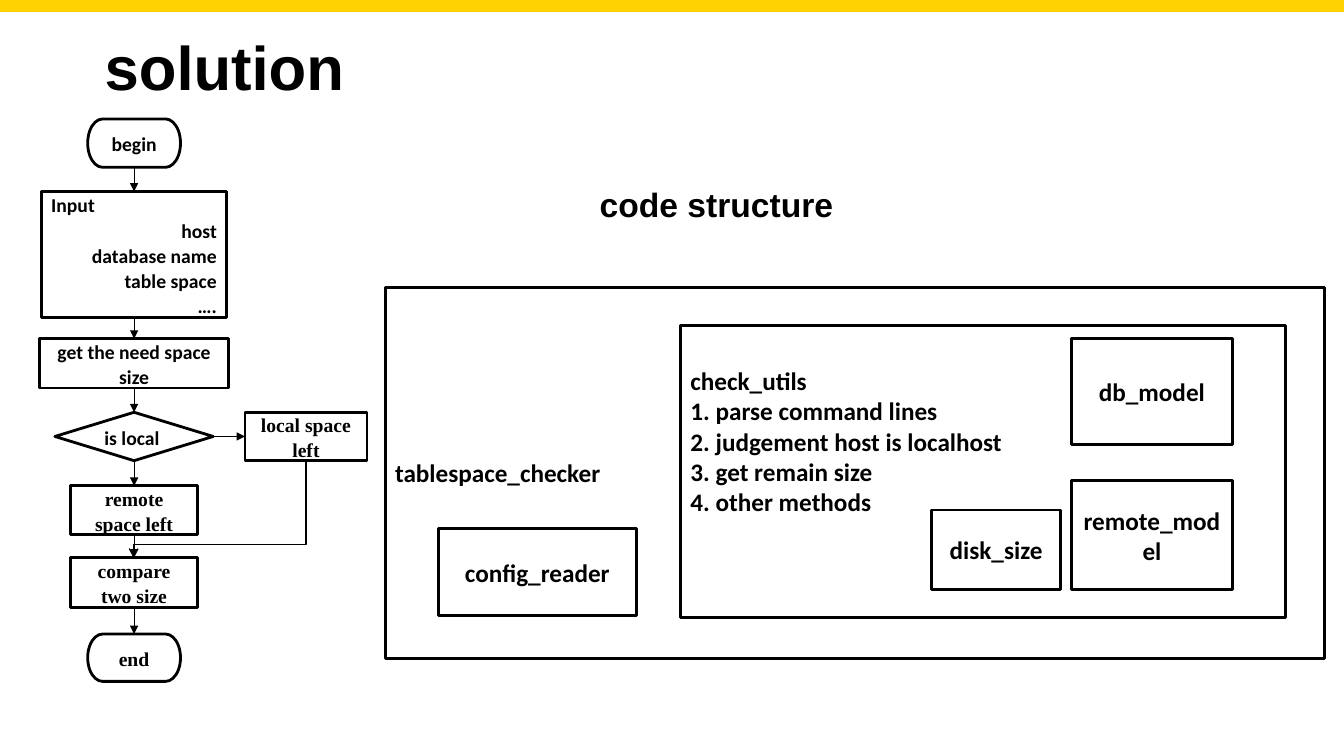
from pptx import Presentation
from pptx.dml.color import RGBColor
from pptx.enum import shapes as sh, text as tx
from pptx.oxml import ns, xmlchemy as xc
from pptx.util import Inches, Pt

BLACK = RGBColor(0, 0, 0)
WHITE = RGBColor(255, 255, 255)
GOLD = RGBColor(0xFF, 0xD2, 0x00)

KIND = sh.MSO_SHAPE
LEFT, MID, RIGHT = tx.PP_ALIGN.LEFT, tx.PP_ALIGN.CENTER, tx.PP_ALIGN.RIGHT
SANS, SERIF, HEAD = "Calibri", "Times New Roman", "Arial"
AXIS = 1.33  # centre line of the flow chart

# text, kind, width, top, height, font, alignment
STEPS = [
    ("begin", KIND.FLOWCHART_TERMINATOR, 0.92, 1.18, 0.48, SANS, MID),
    ("Input\nhost\ndatabase name\ntable space\n….",
     KIND.FLOWCHART_PROCESS, 1.84, 1.9, 1.25, SANS, RIGHT),
    ("get the need space size", KIND.RECTANGLE, 1.88, 3.36, 0.49, SANS, MID),
    ("is local", KIND.FLOWCHART_DECISION, 1.57, 4.09, 0.48, SANS, LEFT),
    ("remote space left", KIND.RECTANGLE, 1.26, 4.82, 0.48, SERIF, MID),
    ("compare two size", KIND.RECTANGLE, 1.26, 5.53, 0.5, SERIF, MID),
    ("end", KIND.FLOWCHART_TERMINATOR, 0.92, 6.29, 0.47, SERIF, MID),
]

UTILS = """check_utils
1. parse command lines
2. judgement host is localhost
3. get remain size
4. other methods"""

# text, left, top, width, height
PARTS = [
    ("remote_model", 10.63, 4.77, 1.59, 1.08),
    ("config_reader", 4.35, 5.24, 1.96, 0.87),
    ("db_model", 10.63, 3.36, 1.59, 1.05),
    ("disk_size", 9.24, 5.06, 1.28, 0.79),
]


def write(shape, words, font, size, align=LEFT, space=None, pad=0.05, foot=None):
    """Fill a shape with bold text; pad is the top inset, foot the bottom one."""
    frame = shape.text_frame
    frame.text = words
    form = {
        "word_wrap": True,
        "vertical_anchor": tx.MSO_ANCHOR.MIDDLE,
        "margin_left": Inches(0.1),
        "margin_right": Inches(0.1),
        "margin_top": Inches(pad),
        "margin_bottom": Inches(pad if foot is None else foot),
    }
    for key, value in form.items():
        setattr(frame, key, value)
    for para in frame.paragraphs:
        para.alignment = align
        para.line_spacing = space
        for key, value in {"name": font, "size": Pt(size), "bold": True}.items():
            setattr(para.runs[0].font, key, value)
        para.runs[0].font.color.rgb = BLACK


def add_box(slide, kind, *place, fill=WHITE, line=BLACK, width=2):
    box = slide.shapes.add_shape(kind, *map(Inches, place))
    box.shadow.inherit = False
    box.fill.solid()
    box.fill.fore_color.rgb = fill
    box.line.color.rgb = line
    box.line.width = Pt(width)
    return box


def add_label(slide, words, size, *place, space=None):
    label = slide.shapes.add_textbox(*map(Inches, place))
    write(label, words, HEAD, size, space=space)


def add_step(slide, words, kind, left, top, width, height, font, align):
    box = add_box(slide, kind, left, top, width, height)
    pad = 0.05 if kind == KIND.FLOWCHART_TERMINATOR else 0
    space = 1.07 if font == SANS else 1.06
    write(box, words, font, 14, align, space, pad)
    return box


def add_arrow(slide, kind, ends, head="triangle"):
    arrow = slide.shapes.add_connector(kind, *map(Inches, ends))
    arrow.line.color.rgb = BLACK
    arrow.line.width = Pt(0.75)
    tip = xc.OxmlElement("a:tailEnd")
    tip.set("type", head)
    arrow.line._get_or_add_ln().append(tip)
    arrow._element.spPr.append(xc.OxmlElement("a:effectLst"))
    return arrow


def link(slide, start, out, end, into):
    arrow = add_arrow(slide, sh.MSO_CONNECTOR.STRAIGHT, (0, 0, 0, 0))
    arrow.begin_connect(start, out)
    arrow.end_connect(end, into)


def add_bend(slide):
    """Lead the local branch down and back to the axis by a turned elbow."""
    bend = add_arrow(slide, sh.MSO_CONNECTOR.ELBOW, (1.7, 4.2, 2.66, 5.91), "arrow")
    props = bend._element.spPr
    props.find(ns.qn("a:xfrm")).set("rot", "5400000")
    guide = xc.OxmlElement("a:gd")
    guide.set("name", "adj1")
    guide.set("fmla", "val 86200")
    props.find(ns.qn("a:prstGeom")).get_or_add_avLst().append(guide)


def add_flow(slide):
    steps = [
        add_step(slide, words, kind, AXIS - width / 2, top, width, height, font, align)
        for words, kind, width, top, height, font, align in STEPS
    ]
    steps[1].text_frame.paragraphs[0].alignment = LEFT
    local = add_step(slide, "local space left", KIND.RECTANGLE,
                     2.43, 4.09, 1.21, 0.48, SERIF, MID)
    for start, end in zip(steps, steps[1:]):
        link(slide, start, 2, end, 0)
    link(slide, steps[3], 3, local, 1)
    add_bend(slide)


def add_code(slide):
    outer = add_box(slide, KIND.RECTANGLE, 3.82, 2.85, 9.32, 3.68)
    write(outer, "tablespace_checker", SANS, 18)
    utils = add_box(slide, KIND.FLOWCHART_PROCESS, 6.75, 3.23, 6, 2.9)
    write(utils, UTILS, SANS, 18, foot=0.66)
    for words, *place in PARTS:
        part = add_box(slide, KIND.FLOWCHART_PROCESS, *place)
        write(part, words, SANS, 18, MID)


def main():
    deck = Presentation()
    deck.slide_width, deck.slide_height = Inches(13.33), Inches(7.5)
    slide = deck.slides.add_slide(deck.slide_layouts[6])
    add_box(slide, KIND.RECTANGLE, 0, 0, 13.33, 0.11, fill=GOLD, line=GOLD, width=0.75)
    add_code(slide)
    add_label(slide, "solution", 44, 0.94, 0.32, 8.94, 0.77, space=0.9)
    add_flow(slide)
    add_label(slide, "code structure", 24, 5.85, 1.77, 5.7, 0.5)
    deck.save("out.pptx")


if __name__ == "__main__":
    main()
